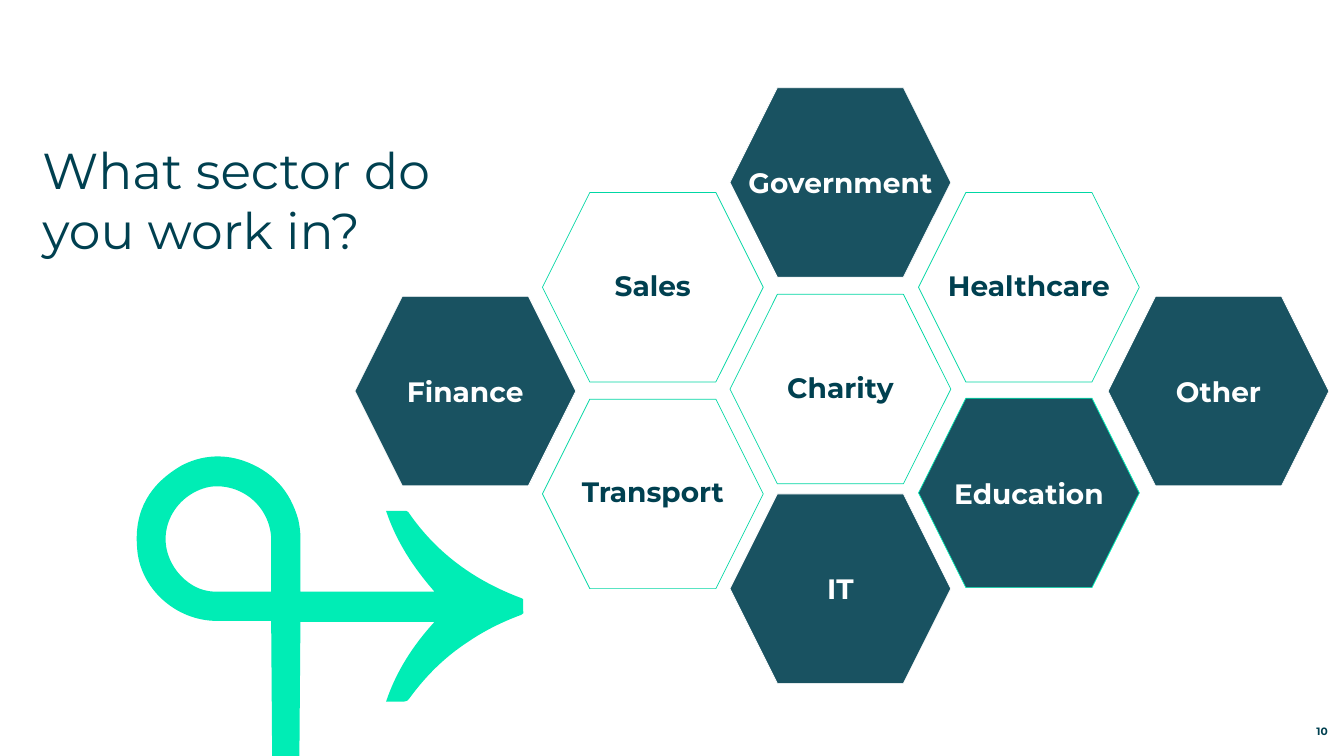
from pptx import Presentation
from pptx import util as u
from pptx.dml.color import RGBColor
from pptx.enum import shapes, text
from pptx.oxml.ns import qn
from lxml import etree

FONT = "Montserrat"
TEAL = RGBColor(0x00, 0x40, 0x50)
MINT = RGBColor(0x00, 0xED, 0xB5)
GREEN = RGBColor(0x00, 0xD7, 0xA4)
WHITE = RGBColor(0xFF, 0xFF, 0xFF)

HEXAGON_SIZE = (2.19, 1.88)
COLUMN_OFFSETS = (0, 1.86, 3.72, 5.59, 7.47)
SECTORS = [
    ("Transport", 1, 3.09, False, GREEN),
    ("Finance", 0, 2.07, True, WHITE),
    ("Charity", 2, 2.05, False, GREEN),
    ("Education", 3, 3.08, True, MINT),
    ("Sales", 1, 1.04, False, GREEN),
    ("Government", 2, 0, True, WHITE),
    ("Healthcare", 3, 1.04, False, GREEN),
    ("Other", 4, 2.07, True, WHITE),
    ("IT", 2, 4.03, True, WHITE),
]

ARROW_OUTLINE = [
    [(0.45, 0.09)],
    [(0.14, 0.27), (-0.02, 0.53), (0.01, 0.9)],
    [(0.03, 1.3), (0.39, 1.63), (0.8, 1.63)],
    [(1.34, 1.63)], [(1.35, 2.97)], [(1.62, 2.97)], [(1.63, 1.64)], [(2.96, 1.64)],
    [(2.75, 1.87), (2.58, 2.13), (2.48, 2.43)],
    [(2.66, 2.43)],
    [(2.68, 2.43), (2.7, 2.42), (2.71, 2.4)],
    [(2.87, 2.18), (3.06, 1.99), (3.29, 1.84)],
    [(3.45, 1.73), (3.63, 1.64), (3.82, 1.57)],
    [(3.84, 1.56), (3.85, 1.55), (3.84, 1.53)],
    [(3.84, 1.44)],
    [(3.85, 1.42), (3.84, 1.41), (3.81, 1.4)],
    [(3.36, 1.23), (2.98, 0.96), (2.7, 0.55)],
    [(2.68, 0.54)], [(2.48, 0.54)],
    [(2.58, 0.84), (2.75, 1.1), (2.96, 1.34)],
    [(1.63, 1.34)], [(1.63, 0.8)],
    [(1.63, 0.74), (1.62, 0.68), (1.61, 0.63)],
    [(1.53, 0.34), (1.35, 0.14), (1.06, 0.04)],
    [(0.85, -0.03), (0.64, -0.01), (0.45, 0.09)],
]
ARROW_LOOP = [
    [(1.26, 0.55)],
    [(1.31, 0.63), (1.34, 0.73), (1.34, 0.82)],
    [(1.34, 1.34)], [(0.79, 1.34)],
    [(0.63, 1.34), (0.5, 1.26), (0.4, 1.13)],
    [(0.15, 0.79), (0.37, 0.37), (0.73, 0.3)],
    [(0.94, 0.27), (1.15, 0.37), (1.26, 0.55)],
]


def place_points(outline, left, top):
    return [(u.Inches(left + x), u.Inches(top + y))
            for segment in outline for x, y in segment]


def round_curves(shape, segments):
    lines = iter(list(shape.element.iter(qn("a:lnTo"))))
    for segment in segments:
        first, *others = [next(lines) for _ in segment]
        if others:
            first.tag = qn("a:cubicBezTo")
            for line in others:
                first.append(line[0])
                line.getparent().remove(line)


def set_text(shape, words, size, color, bold, align, anchor, wrap):
    frame = shape.text_frame
    frame.text = words
    frame.auto_size = text.MSO_AUTO_SIZE.NONE
    frame.word_wrap = wrap
    frame.vertical_anchor = anchor
    frame.margin_left = frame.margin_right = frame.margin_top = frame.margin_bottom = 0
    paragraph = frame.paragraphs[0]
    paragraph.alignment = align
    font = paragraph.runs[0].font
    font.name, font.size, font.bold = FONT, u.Pt(size), bold
    font.color.rgb = color
    return paragraph


def add_arrow(slide, left, top):
    outline = place_points(ARROW_OUTLINE, left, top)
    loop = place_points(ARROW_LOOP, left, top)
    builder = slide.shapes.build_freeform(*outline[0])
    builder.add_line_segments(outline[1:], close=True)
    builder.move_to(*loop[0])
    builder.add_line_segments(loop[1:], close=True)
    arrow = builder.convert_to_shape()
    round_curves(arrow, ARROW_OUTLINE[1:] + ARROW_LOOP[1:])
    arrow.shadow.inherit = False
    arrow.fill.solid()
    arrow.fill.fore_color.rgb = MINT
    arrow.line.fill.background()


def add_title(slide, left, top, width, height):
    title = slide.shapes.title
    title.left, title.top = u.Inches(left), u.Inches(top)
    title.width, title.height = u.Inches(width), u.Inches(height)
    set_text(title, "What sector do you work in?", 36, TEAL, False,
             text.PP_ALIGN.LEFT, text.MSO_ANCHOR.TOP, True)


def add_hexagon(slide, left, top, sector, dark, line_color):
    width, height = HEXAGON_SIZE
    hexagon = slide.shapes.add_shape(
        shapes.MSO_SHAPE.HEXAGON,
        u.Inches(left), u.Inches(top), u.Inches(width), u.Inches(height))
    hexagon.shadow.inherit = False
    hexagon.fill.solid()
    hexagon.fill.fore_color.rgb = TEAL if dark else WHITE
    hexagon.line.color.rgb = line_color
    hexagon.line.width = u.Pt(0.5)
    paragraph = set_text(hexagon, sector, 20, WHITE if dark else TEAL, True,
                         text.PP_ALIGN.CENTER, text.MSO_ANCHOR.MIDDLE, False)
    if dark:
        fill_color = hexagon.element.spPr.find(qn("a:solidFill"))[0]
        etree.SubElement(fill_color, qn("a:alpha"), val="90000")
    else:
        paragraph.line_spacing = 0.9


def add_honeycomb(slide, left, top):
    for sector, column, offset, dark, line_color in SECTORS:
        add_hexagon(slide, left + COLUMN_OFFSETS[column], top + offset,
                    sector, dark, line_color)


def add_page_number(slide, left, top, width, height):
    number = slide.shapes.add_textbox(
        u.Inches(left), u.Inches(top), u.Inches(width), u.Inches(height))
    set_text(number, "10", 7.6, TEAL, True,
             text.PP_ALIGN.RIGHT, text.MSO_ANCHOR.BOTTOM, True)


def main():
    presentation = Presentation()
    presentation.slide_width = u.Inches(13.33)
    presentation.slide_height = u.Inches(7.5)
    slide = presentation.slides.add_slide(presentation.slide_layouts[5])
    add_arrow(slide, 1.35, 4.53)
    add_title(slide, 0.42, 1.38, 4.26, 2.87)
    add_honeycomb(slide, 3.52, 0.87)
    add_page_number(slide, 12.31, 7.12, 0.86, 0.2)
    presentation.save("out.pptx")


if __name__ == "__main__":
    main()
